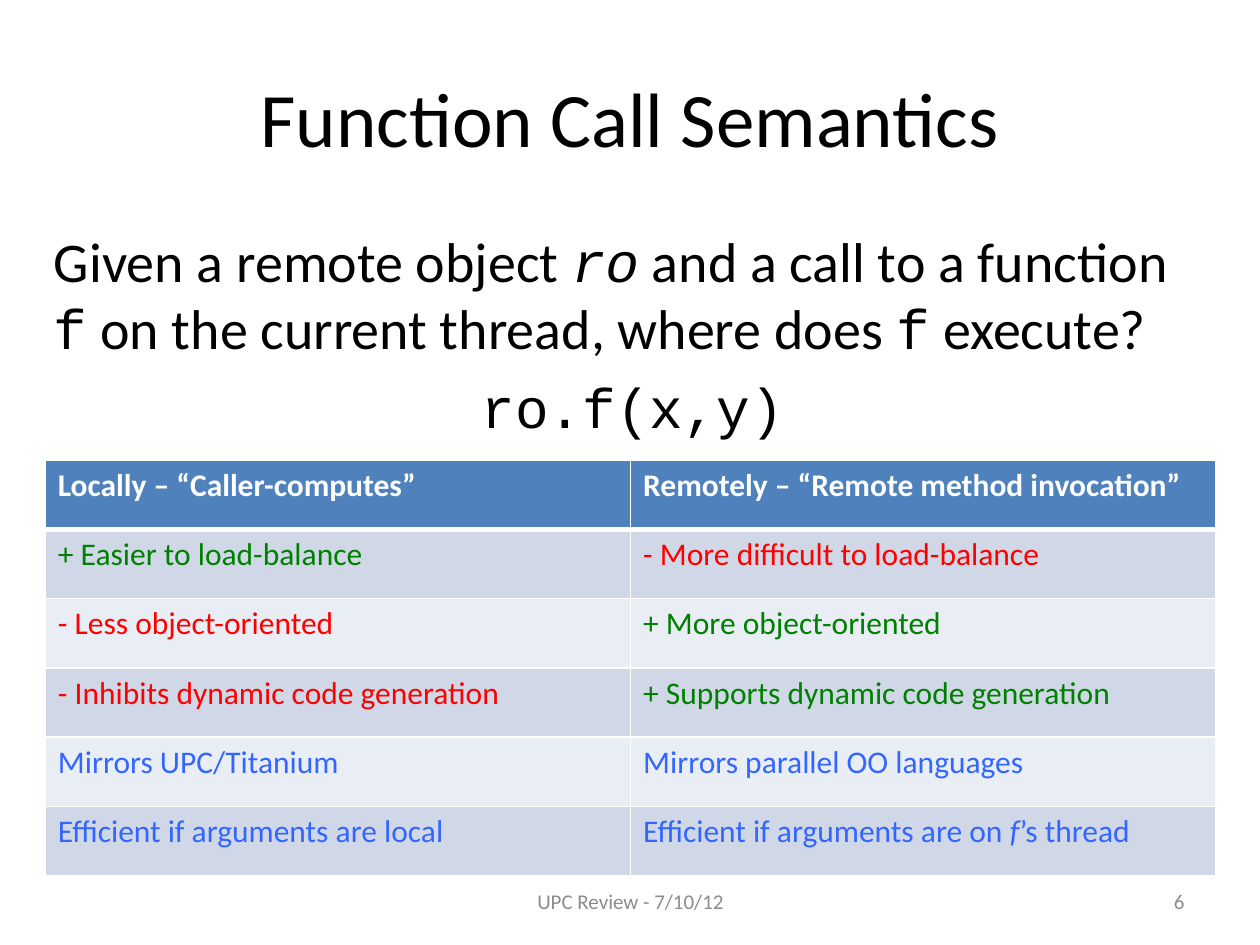
from lxml import etree
from pptx import Presentation
from pptx.dml.color import RGBColor
from pptx.enum.text import MSO_ANCHOR, PP_ALIGN
from pptx.oxml.ns import qn
from pptx.util import Inches, Pt

LEFT, MID, RIGHT = PP_ALIGN.LEFT, PP_ALIGN.CENTER, PP_ALIGN.RIGHT
TOP, CENTER = MSO_ANCHOR.TOP, MSO_ANCHOR.MIDDLE
SANS, MONO = "Calibri", "Courier New"
COLORS = {
    "text": "000000", "white": "FFFFFF", "head": "4F81BD",
    "odd": "D0D8E8", "even": "E9EDF4", "pro": "008000",
    "con": "FF0000", "note": "3366FF", "foot": "8C8C8C",
}
QUERY = [
    ("Given a remote object ", SANS, False), ("ro", MONO, True),
    (" and a call to a function ", SANS, False), ("f", MONO, False),
    (" on the current thread, where does ", SANS, False), ("f", MONO, False),
    (" execute?", SANS, False),
]
CALL = [("ro.f(x,y)", MONO, False)]
ROWS = [
    ("Locally – “Caller-computes”", "Remotely – “Remote method invocation”"),
    ("+ Easier to load-balance", "- More difficult to load-balance"),
    ("- Less object-oriented", "+ More object-oriented"),
    ("- Inhibits dynamic code generation", "+ Supports dynamic code generation"),
    ("Mirrors UPC/Titanium", "Mirrors parallel OO languages"),
    ("Efficient if arguments are local",
     [("Efficient if arguments are on ", SANS, False), ("f", SANS, True),
      ("’s thread", SANS, False)]),
]


def rgb(name):
    """Return the named colour."""
    return RGBColor.from_string(COLORS[name])


def write(para, parts, size, color, align=LEFT, bold=False):
    """Fill a paragraph with text or (text, font, italic) parts."""
    if isinstance(parts, str):
        parts = [(parts, SANS, False)]
    para.alignment = align
    for text, face, slant in parts:
        run = para.add_run()
        run.text = text
        font = run.font
        font.name, font.size = face, Pt(size)
        font.italic, font.bold = slant, bold
        font.color.rgb = rgb(color)


def add_title(slide, box, text):
    """Place the title."""
    title = slide.shapes.title
    title.left, title.top, title.width, title.height = map(Inches, box)
    title.text_frame.vertical_anchor = CENTER
    write(title.text_frame.paragraphs[0], text, 44, "text", MID)


def add_frame(slide, box, anchor):
    """Add a wrapping text box and return its frame."""
    frame = slide.shapes.add_textbox(*map(Inches, box)).text_frame
    frame.word_wrap = True
    frame.vertical_anchor = anchor
    return frame


def add_query(slide, box):
    """Place the question and the sample call."""
    frame = add_frame(slide, box, TOP)
    first, last = frame.paragraphs[0], frame.add_paragraph()
    write(first, QUERY, 32, "text")
    write(last, CALL, 32, "text", MID)
    for para in (first, last):
        para.space_before = Pt(6.4)


def add_edges(cell, widths):
    """Draw white cell borders with widths by side."""
    props = cell._tc.get_or_add_tcPr()
    for spot, (side, width) in enumerate(widths.items()):
        line = etree.Element(qn("a:ln" + side), w=str(Pt(width)))
        fill = etree.SubElement(line, qn("a:solidFill"))
        etree.SubElement(fill, qn("a:srgbClr"), val=COLORS["white"])
        props.insert(spot, line)


def pick_tone(row, parts):
    """Choose a text colour from the row and leading sign."""
    if row == 0:
        return "white"
    return {"+": "pro", "-": "con"}.get(parts[0][0], "note")


def add_grid(slide, box):
    """Place the comparison table."""
    table = slide.shapes.add_table(len(ROWS), 2, *map(Inches, box)).table
    for row, pair in enumerate(ROWS):
        band = "head" if row == 0 else "odd" if row % 2 else "even"
        edges = {"L": 1, "R": 1, "T": 3 if row == 1 else 1,
                 "B": 3 if row == 0 else 1}
        for col, parts in enumerate(pair):
            cell = table.cell(row, col)
            cell.fill.solid()
            cell.fill.fore_color.rgb = rgb(band)
            add_edges(cell, edges)
            write(cell.text_frame.paragraphs[0], parts, 18,
                  pick_tone(row, parts), bold=row == 0)


def add_foot(slide, box, text, align):
    """Place one footer item."""
    frame = add_frame(slide, box, CENTER)
    write(frame.paragraphs[0], text, 12, "foot", align)


def main():
    """Build and save the slide."""
    deck = Presentation()
    deck.slide_width, deck.slide_height = Inches(10), Inches(7.5)
    slide = deck.slides.add_slide(deck.slide_layouts[5])
    add_title(slide, (0.5, 0.3, 9, 1.25), "Function Call Semantics")
    add_query(slide, (0.33, 1.75, 9.39, 4.95))
    add_grid(slide, (0.36, 3.65, 9.29, 3.3))
    add_foot(slide, (3.42, 6.95, 3.17, 0.4), "UPC Review - 7/10/12", MID)
    add_foot(slide, (7.17, 6.95, 2.33, 0.4), "6", RIGHT)
    deck.save("out.pptx")


if __name__ == "__main__":
    main()
